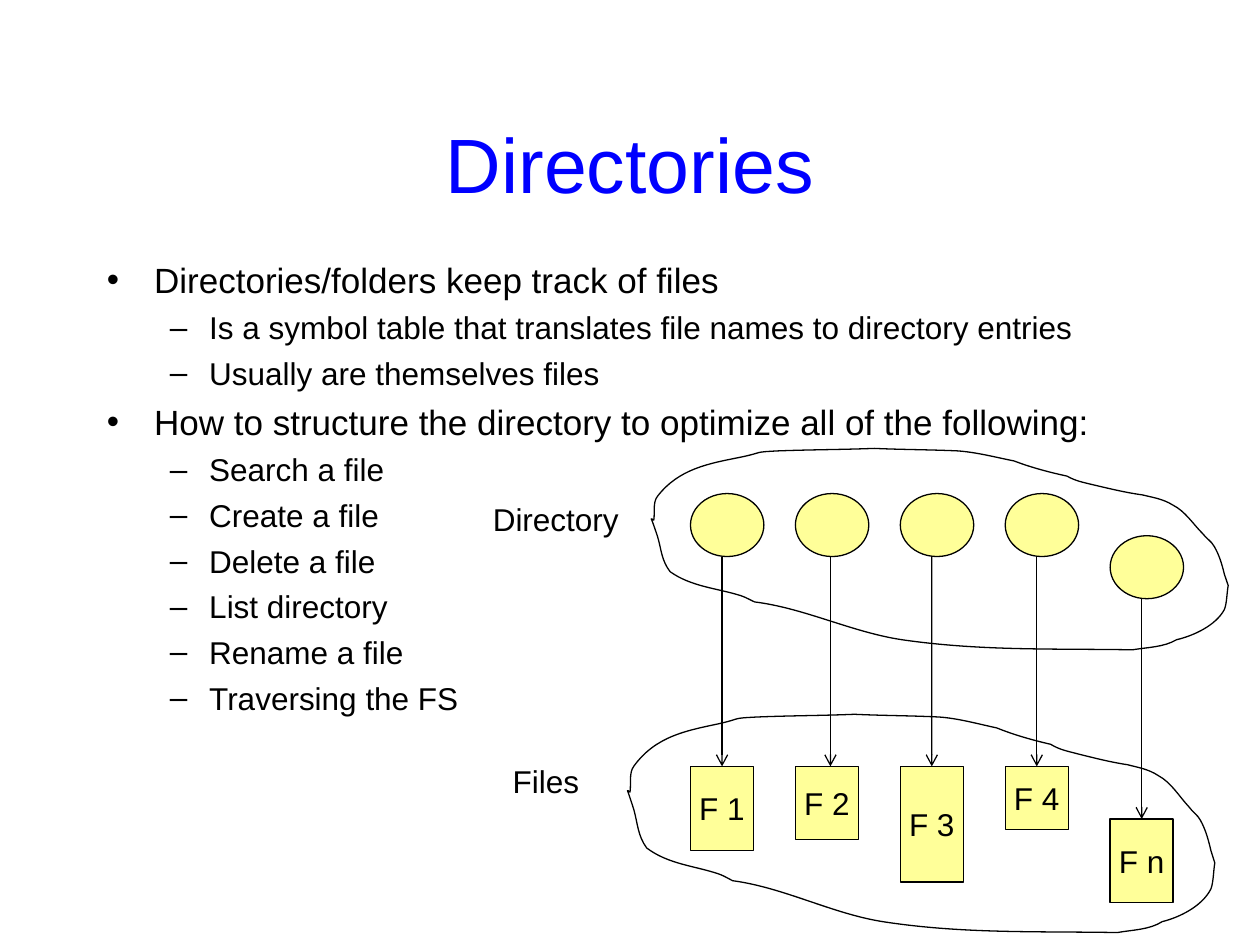
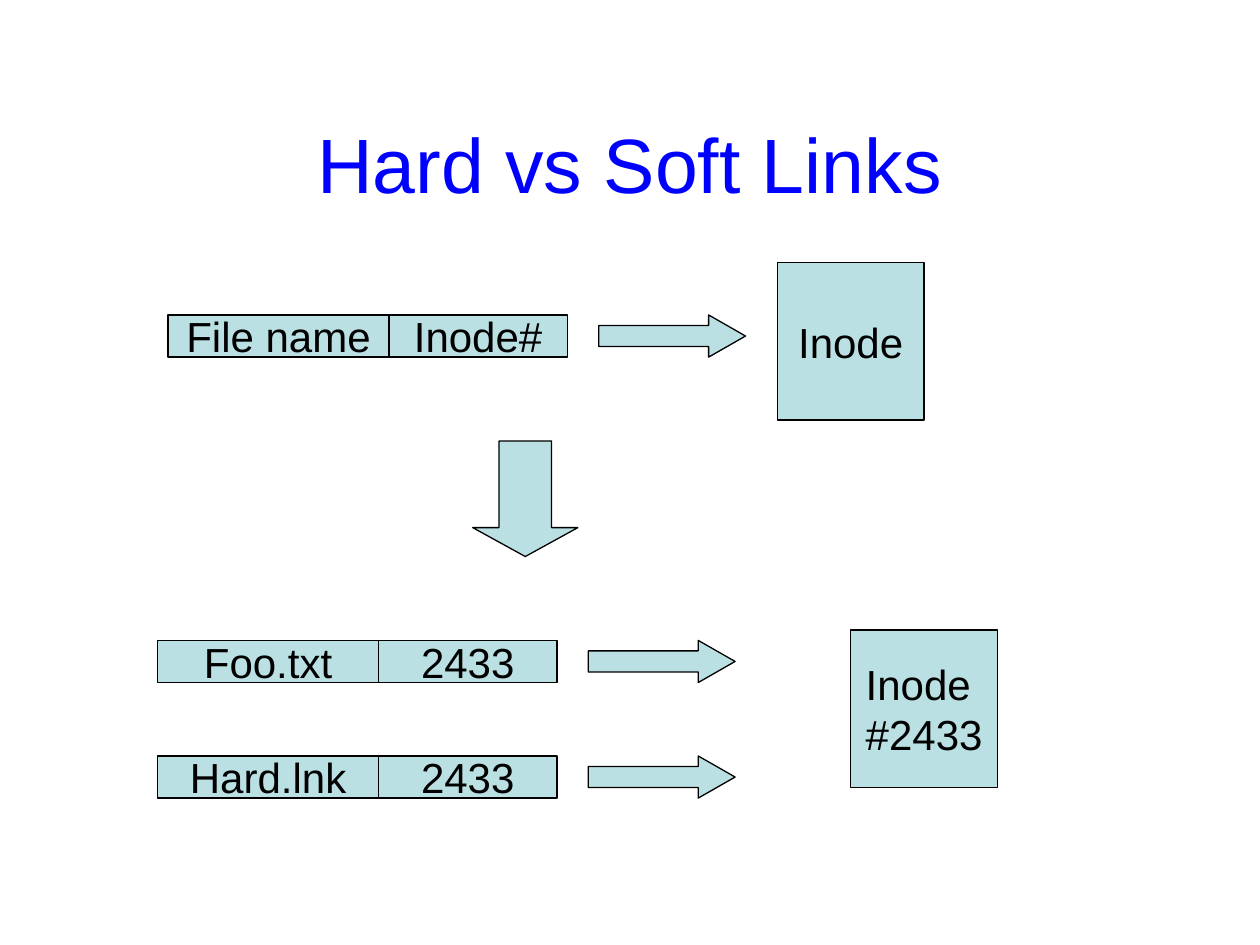
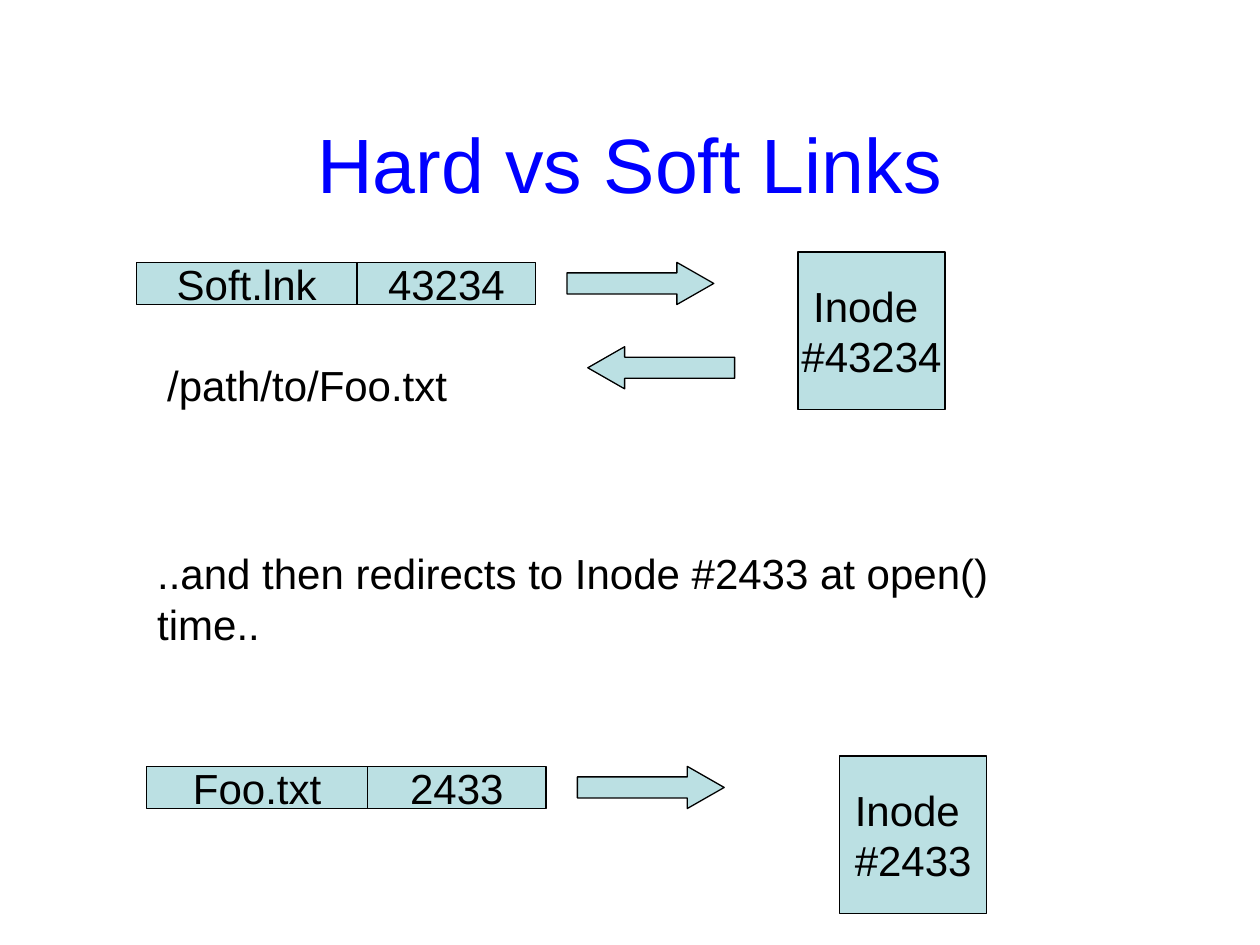
"""Build three slides on directories and on hard and soft links."""
from lxml import etree
from pptx import Presentation
from pptx.dml.color import RGBColor
from pptx.enum.shapes import MSO_CONNECTOR, MSO_SHAPE
from pptx.enum.text import MSO_ANCHOR, MSO_AUTO_SIZE, PP_ALIGN
from pptx.oxml.ns import qn
from pptx.util import Cm, Pt

BLUE = RGBColor(0x00, 0x00, 0xFF)
BLACK = RGBColor(0x00, 0x00, 0x00)
CREAM = RGBColor(0xFF, 0xFF, 0x99)
TEAL = RGBColor(0xBB, 0xE0, 0xE3)
FONT = "Arial"
THIN = Pt(0.75)

RECT, OVAL = MSO_SHAPE.RECTANGLE, MSO_SHAPE.OVAL
RIGHT, LEFT, DOWN = MSO_SHAPE.RIGHT_ARROW, MSO_SHAPE.LEFT_ARROW, MSO_SHAPE.DOWN_ARROW
STRAIGHT = MSO_CONNECTOR.STRAIGHT
MIDDLE, TOP = MSO_ANCHOR.MIDDLE, MSO_ANCHOR.TOP
CENTER, START = PP_ALIGN.CENTER, PP_ALIGN.LEFT
FIXED, GROW = MSO_AUTO_SIZE.NONE, MSO_AUTO_SIZE.SHAPE_TO_FIT_TEXT
BODY, BARE = 1, 5

TITLE_BOX = (1.9, 1.69, 21.6, 3.18)
LIST_BOX = (1.9, 5.08, 21.6, 11.43)
LEVELS = ((20, 5), (18, 4.5))

POINTS = [
    (0, "Directories/folders keep track of files"),
    (1, "Is a symbol table that translates file names to directory entries"),
    (1, "Usually are themselves files"),
    (0, "How to structure the directory to optimize all of the following:"),
    (1, "Search a file"),
    (1, "Create a file"),
    (1, "Delete a file"),
    (1, "List directory"),
    (1, "Rename a file"),
    (1, "Traversing the FS"),
]

# name, entry top, file top, file height, arrow shift
FILES = [
    ("F 1", 9.95, 15.45, 1.69, 0),
    ("F 2", 9.95, 15.45, 1.48, 0.07),
    ("F 3", 9.95, 15.45, 2.33, 0),
    ("F 4", 9.95, 15.45, 1.27, 0),
    ("F n", 10.8, 16.51, 1.69, 0),
]
FILE_X, FILE_END, FILE_W = 13.92, 22.38, 1.27
FILE_STEP = (FILE_END - FILE_X) / (len(FILES) - 1)
ENTRY_W, ENTRY_H = 1.48, 1.27

LABELS = [
    ("Directory", (9.68, 9.95, 3.05, 1.02)),
    ("Files", (10.08, 15.24, 1.85, 1.02)),
]
CLOUDS = [(13.13, 9.04, 11.63, 4.06), (12.65, 14.4, 11.84, 4.4)]
CLOUD_W, CLOUD_H = 458, 160
CLOUD_START = (2, 57)
CLOUD_CURVES = [
    ((3, 51), (1, 43), (5, 38)),
    ((22, 16), (46, 12), (71, 7)),
    ((90, 3), (80, 3), (101, 2)),
    ((127, 1), (152, 1), (177, 0)),
    ((199, 1), (221, 1), (243, 2)),
    ((258, 3), (273, 7), (288, 10)),
    ((301, 15), (316, 19), (330, 22)),
    ((337, 26), (343, 27), (351, 29)),
    ((364, 32), (376, 35), (390, 37)),
    ((398, 39), (406, 40), (414, 45)),
    ((424, 50), (430, 60), (438, 68)),
    ((440, 71), (445, 74), (447, 78)),
    ((451, 85), (453, 92), (455, 100)),
    ((456, 103), (458, 109), (458, 109)),
    ((457, 114), (457, 123), (455, 128)),
    ((448, 141), (430, 149), (417, 152)),
    ((407, 158), (394, 158), (382, 160)),
    ((318, 159), (261, 161), (199, 152)),
    ((159, 146), (122, 127), (82, 122)),
    ((81, 121), (79, 121), (78, 120)),
    ((76, 119), (74, 118), (71, 117)),
    ((52, 111), (32, 110), (15, 98)),
    ((8, 89), (8, 80), (5, 70)),
    ((5, 70), (1, 58), (0, 56)),
    ((0, 55), (1, 57), (2, 57)),
]

NAME_W, NUM_W, ROW_H, ROW_GAP = 4.45, 3.6, 0.85, 0.63
ARROW_W, INODE_H = 2.96, 3.18
SIDE_ADJ, DOWN_ADJ = 0.875, 0.275

LINKS = [
    {
        "rows": [
            ("File name", "Inode#", 3.39, 6.35),
            ("Foo.txt", "2433", 3.18, 12.91),
            ("Hard.lnk", "2433", 3.18, 15.24),
        ],
        "inodes": [
            (["Inode"], 15.67, 5.29),
            (["Inode ", "#2433"], 17.15, 12.7),
        ],
        "arrows": [(DOWN, (9.53, 8.89, 2.12, 2.33), DOWN_ADJ)],
        "notes": [],
    },
    {
        "rows": [
            ("Foo.txt", "2433", 2.96, 15.45),
            ("Soft.lnk", "43234", 2.75, 5.29),
        ],
        "inodes": [
            (["Inode ", "#2433"], 16.93, 15.24),
            (["Inode ", "#43234"], 16.09, 5.08),
        ],
        "arrows": [(LEFT, (11.85, 6.99, ARROW_W, ROW_H), SIDE_ADJ)],
        "notes": [
            ("/path/to/Foo.txt", (3.12, 7.12, 6.15, 1.27)),
            ("..and then redirects to Inode #2433 at open() time..",
             (2.92, 10.92, 19.56, 1.27)),
        ],
    },
]


def to_cm(box):
    """Turn plain numbers into lengths."""
    return [Cm(v) for v in box]


def place(shape, box):
    """Move and size a placeholder."""
    shape.left, shape.top, shape.width, shape.height = to_cm(box)
    shape.text_frame.auto_size = FIXED


def add_run(para, text, size, color=BLACK):
    """Add one styled run."""
    run = para.add_run()
    run.text = text
    run.font.size = Pt(size)
    run.font.name = FONT
    run.font.color.rgb = color


def write(frame, lines, size, align=CENTER, anchor=MIDDLE, color=BLACK, wrap=False):
    """Fill a text frame, one paragraph a line."""
    frame.word_wrap = wrap
    frame.vertical_anchor = anchor
    for i, line in enumerate(lines):
        para = frame.add_paragraph() if i else frame.paragraphs[0]
        para.alignment = align
        add_run(para, line, size, color)


def add_slide(deck, layout, title):
    """Add a slide with its styled title."""
    slide = deck.slides.add_slide(deck.slide_layouts[layout])
    head = slide.shapes.title
    place(head, TITLE_BOX)
    write(head.text_frame, [title], 44, color=BLUE, wrap=True)
    return slide


def add_form(slide, kind, box, fill, lines=(), size=24):
    """Add a filled, outlined preset shape."""
    form = slide.shapes.add_shape(kind, *to_cm(box))
    form.shadow.inherit = False
    form.fill.solid()
    form.fill.fore_color.rgb = fill
    form.line.color.rgb = BLACK
    form.line.width = THIN
    write(form.text_frame, lines, size)
    return form


def add_arrow(slide, kind, box, adj):
    """Add a block arrow."""
    arrow = add_form(slide, kind, box, TEAL)
    arrow.adjustments[0] = 0.5
    arrow.adjustments[1] = adj


def add_note(slide, text, box, size, align, anchor):
    """Add a line of free text."""
    note = slide.shapes.add_textbox(*to_cm(box))
    write(note.text_frame, [text], size, align, anchor)
    note.text_frame.auto_size = GROW


def add_link(slide, x, top, end, target):
    """Draw an arrow down to a file, joined when target is given."""
    link = slide.shapes.add_connector(STRAIGHT, *to_cm((x, top, x, end)))
    link.line.color.rgb = BLACK
    link.line.width = THIN
    line = link.line._get_or_add_ln()
    etree.SubElement(line, qn("a:tailEnd"), type="arrow")
    etree.SubElement(link._element.spPr, qn("a:effectLst"))
    if target is not None:
        link.end_connect(target, 0)


def bend(cloud):
    """Turn the cloud's straight segments into curves."""
    lines = list(cloud._element.iter(qn("a:lnTo")))
    for line, (b, c, _) in zip(lines, CLOUD_CURVES):
        line.tag = qn("a:cubicBezTo")
        for i, (x, y) in enumerate((b, c)):
            dot = line.makeelement(qn("a:pt"), {"x": str(x), "y": str(y)})
            line.insert(i, dot)


def add_cloud(slide, box):
    """Draw the cloud outline scaled to a box."""
    x, y, w, h = to_cm(box)
    pen = slide.shapes.build_freeform(*CLOUD_START, scale=(w / CLOUD_W, h / CLOUD_H))
    pen.add_line_segments([curve[-1] for curve in CLOUD_CURVES], close=True)
    cloud = pen.convert_to_shape(x, y)
    bend(cloud)
    cloud.shadow.inherit = False
    cloud.fill.background()
    cloud.line.color.rgb = BLACK
    cloud.line.width = THIN


def add_points(slide):
    """Fill the body with two levels of bullets."""
    body = slide.placeholders[1]
    place(body, LIST_BOX)
    frame = body.text_frame
    for i, (level, text) in enumerate(POINTS):
        para = frame.add_paragraph() if i else frame.paragraphs[0]
        size, gap = LEVELS[level]
        para.level = level
        para.space_before = Pt(gap if i else 0)
        add_run(para, text, size)


def draw_files(deck):
    """Build the directory slide."""
    slide = add_slide(deck, BODY, "Directories")
    add_points(slide)
    for i, (name, entry_y, file_y, high, shift) in enumerate(FILES):
        x = FILE_X + i * FILE_STEP
        add_form(slide, OVAL, (x, entry_y, ENTRY_W, ENTRY_H), CREAM)
        file = add_form(slide, RECT, (x, file_y, FILE_W, high), CREAM, [name], 18)
        add_link(slide, x + FILE_W / 2 + shift, entry_y + ENTRY_H, file_y,
                 None if shift else file)
    for box in CLOUDS:
        add_cloud(slide, box)
    for text, box in LABELS:
        add_note(slide, text, box, 18, CENTER, MIDDLE)


def draw_links(deck, page):
    """Build one slide of links and inodes."""
    slide = add_slide(deck, BARE, "Hard vs Soft Links")
    for name, num, x, y in page["rows"]:
        mid = x + NAME_W
        add_form(slide, RECT, (x, y, NAME_W, ROW_H), TEAL, [name])
        add_form(slide, RECT, (mid, y, NUM_W, ROW_H), TEAL, [num])
        add_arrow(slide, RIGHT, (mid + NUM_W + ROW_GAP, y, ARROW_W, ROW_H), SIDE_ADJ)
    for lines, x, y in page["inodes"]:
        add_form(slide, RECT, (x, y, ARROW_W, INODE_H), TEAL, lines)
    for kind, box, adj in page["arrows"]:
        add_arrow(slide, kind, box, adj)
    for text, box in page["notes"]:
        add_note(slide, text, box, 24, START, TOP)


def main():
    """Build and save the deck."""
    deck = Presentation()
    deck.slide_width, deck.slide_height = Cm(25.4), Cm(19.05)
    draw_files(deck)
    for page in LINKS:
        draw_links(deck, page)
    deck.save("out.pptx")


if __name__ == "__main__":
    main()
